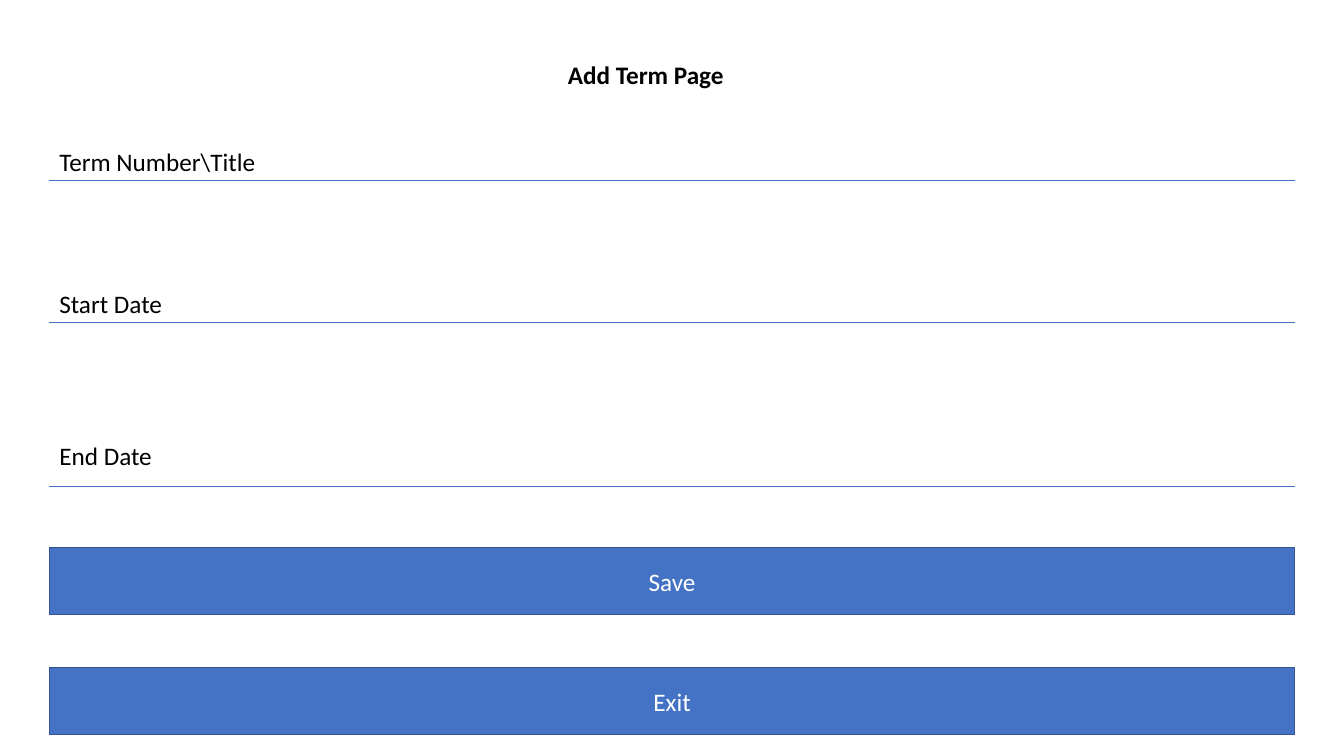
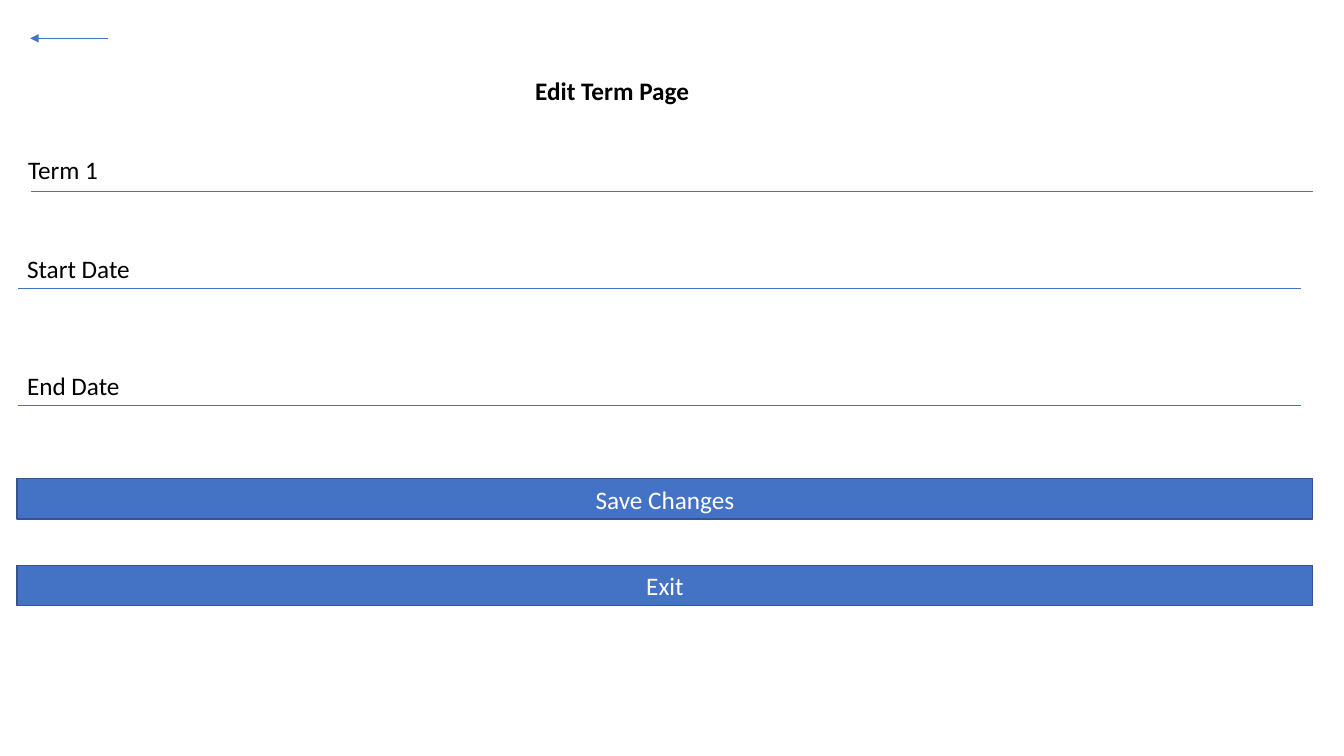
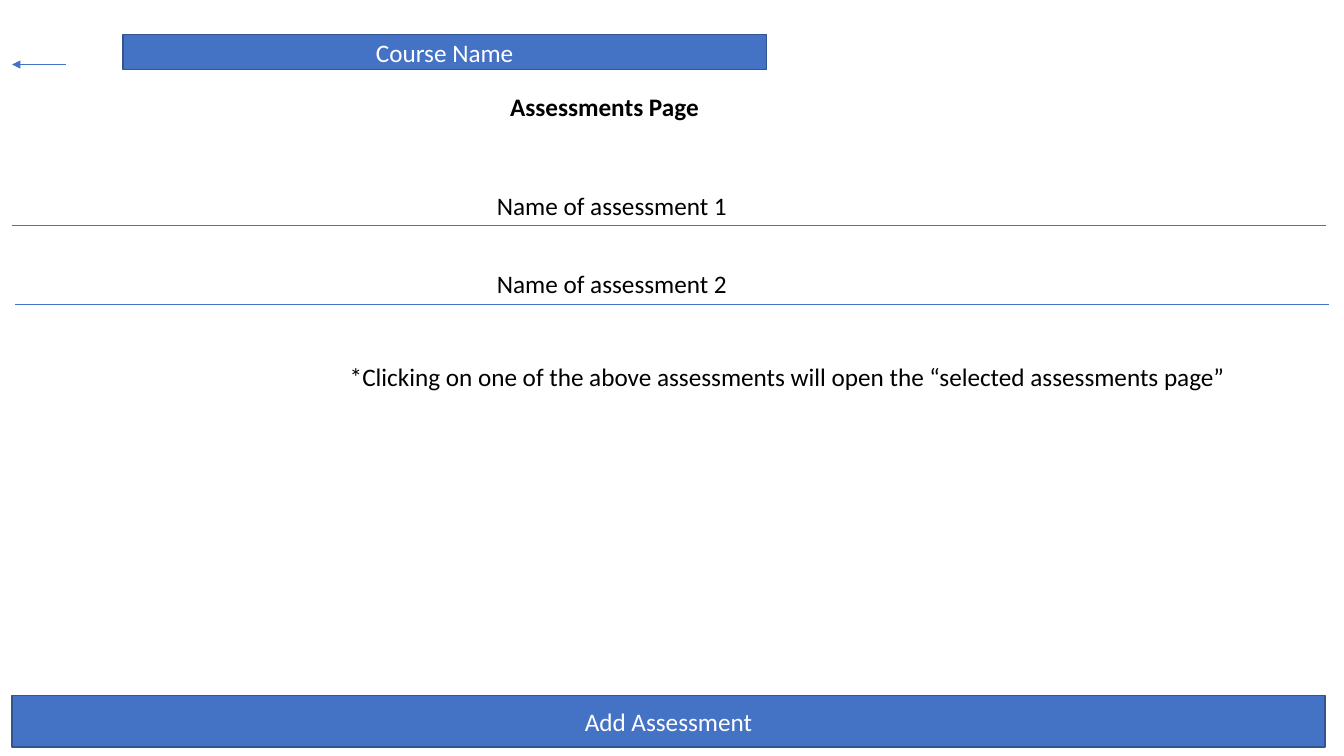
from dataclasses import dataclass

from lxml.etree import SubElement
from pptx import Presentation
from pptx.dml.color import RGBColor
from pptx.enum.shapes import MSO_CONNECTOR as Connector, MSO_SHAPE as Shape
from pptx.enum.text import MSO_ANCHOR as Anchor, MSO_AUTO_SIZE as AutoSize, PP_ALIGN as Align
from pptx.oxml.ns import qn
from pptx.slide import Slide
from pptx.text.text import TextFrame
from pptx.util import Inches, Pt

FONT = "Calibri"
BLUE = "4472C4"
DARK_BLUE = "325491"
BLACK = "000000"
WHITE = "FFFFFF"
LABEL_HEIGHT = 0.4


@dataclass(frozen=True)
class Label:
    text: str
    left: float
    top: float
    width: float
    bold: bool = False
    align: Align = Align.LEFT
    wrap: bool = True


@dataclass(frozen=True)
class Rule:
    start: float
    end: float
    y: float
    arrow: bool = False


@dataclass(frozen=True)
class Button:
    text: str
    left: float
    top: float
    width: float
    height: float


def rgb(color: str) -> RGBColor:
    return RGBColor.from_string(color)


def write(tf: TextFrame, text: str, *, color: str = BLACK, bold: bool = False,
          align: Align = Align.LEFT, wrap: bool = True) -> None:
    tf.word_wrap = wrap
    p = tf.paragraphs[0]
    p.alignment = align
    r = p.add_run()
    r.text = text
    r.font.name = FONT
    r.font.size = Pt(18)
    r.font.bold = bold
    r.font.color.rgb = rgb(color)


def draw_label(s: Slide, label: Label) -> None:
    sp = s.shapes.add_textbox(Inches(label.left), Inches(label.top),
                              Inches(label.width), Inches(LABEL_HEIGHT))
    write(sp.text_frame, label.text, bold=label.bold, align=label.align, wrap=label.wrap)
    sp.text_frame.auto_size = AutoSize.SHAPE_TO_FIT_TEXT


def draw_rule(s: Slide, rule: Rule) -> None:
    sp = s.shapes.add_connector(Connector.STRAIGHT, Inches(rule.start), Inches(rule.y),
                                Inches(rule.end), Inches(rule.y))
    sp.line.color.rgb = rgb(BLUE)
    sp.line.width = Pt(0.5)
    if rule.arrow:
        SubElement(sp.line._get_or_add_ln(), qn("a:tailEnd"), type="triangle")
    SubElement(sp._element.spPr, qn("a:effectLst"))


def draw_button(s: Slide, button: Button) -> None:
    sp = s.shapes.add_shape(Shape.RECTANGLE, Inches(button.left), Inches(button.top),
                            Inches(button.width), Inches(button.height))
    sp.shadow.inherit = False
    sp.fill.solid()
    sp.fill.fore_color.rgb = rgb(BLUE)
    sp.line.color.rgb = rgb(DARK_BLUE)
    sp.line.width = Pt(1)
    sp.text_frame.vertical_anchor = Anchor.MIDDLE
    write(sp.text_frame, button.text, color=WHITE, align=Align.CENTER)


DRAW = {Label: draw_label, Rule: draw_rule, Button: draw_button}

ADD_TERM = [
    Label("Add Term Page", 4.2, 0.54, 4.41, bold=True, align=Align.CENTER),
    Label("Term Number\\Title", 0.49, 1.4, 3.36),
    Label("Start Date", 0.49, 2.81, 3.8),
    Label("End Date", 0.49, 4.32, 5.48),
    *(Rule(0.49, 12.84, y) for y in (1.79, 3.2, 4.83)),
    *(Button(text, 0.49, 5.43 + 1.19 * i, 12.35, 0.67)
      for i, text in enumerate(("Save", "Exit"))),
]

EDIT_TERM = [
    Label("Edit Term Page", 5.21, 0.7, 5.42, bold=True),
    Rule(1.07, 0.3, 0.38, arrow=True),
    Label("Term 1", 0.18, 1.48, 1.79),
    Label("Start Date", 0.17, 2.46, 1.23, wrap=False),
    Label("End Date", 0.17, 3.62, 1.13, wrap=False),
    Rule(0.31, 13.02, 1.9),
    *(Rule(0.18, 12.9, y) for y in (2.86, 4.02)),
    *(Button(text, 0.17, 4.75 + 0.86 * i, 12.85, 0.4)
      for i, text in enumerate(("Save Changes", "Exit"))),
]

ASSESSMENTS = [
    Label("Assessments Page", 4.96, 0.86, 2.08, bold=True, wrap=False),
    *(Label(f"Name of assessment {i + 1}", 4.83, 1.84 + 0.77 * i, 4.68) for i in range(2)),
    Rule(0.12, 13.15, 2.24),
    Rule(0.15, 13.18, 3.02),
    Button("Add Assessment", 0.12, 6.9, 13.02, 0.51),
    Label("*Clicking on one of the above assessments will open the “selected assessments page”",
          3.37, 3.54, 8.99, wrap=False),
    Rule(0.65, 0.12, 0.64, arrow=True),
    Button("Course Name", 1.22, 0.34, 6.38, 0.35),
]

prs = Presentation()
prs.slide_width = Inches(13.33)
prs.slide_height = Inches(7.5)
for page in (ADD_TERM, EDIT_TERM, ASSESSMENTS):
    s = prs.slides.add_slide(prs.slide_layouts[6])
    for item in page:
        DRAW[type(item)](s, item)
prs.save("out.pptx")
